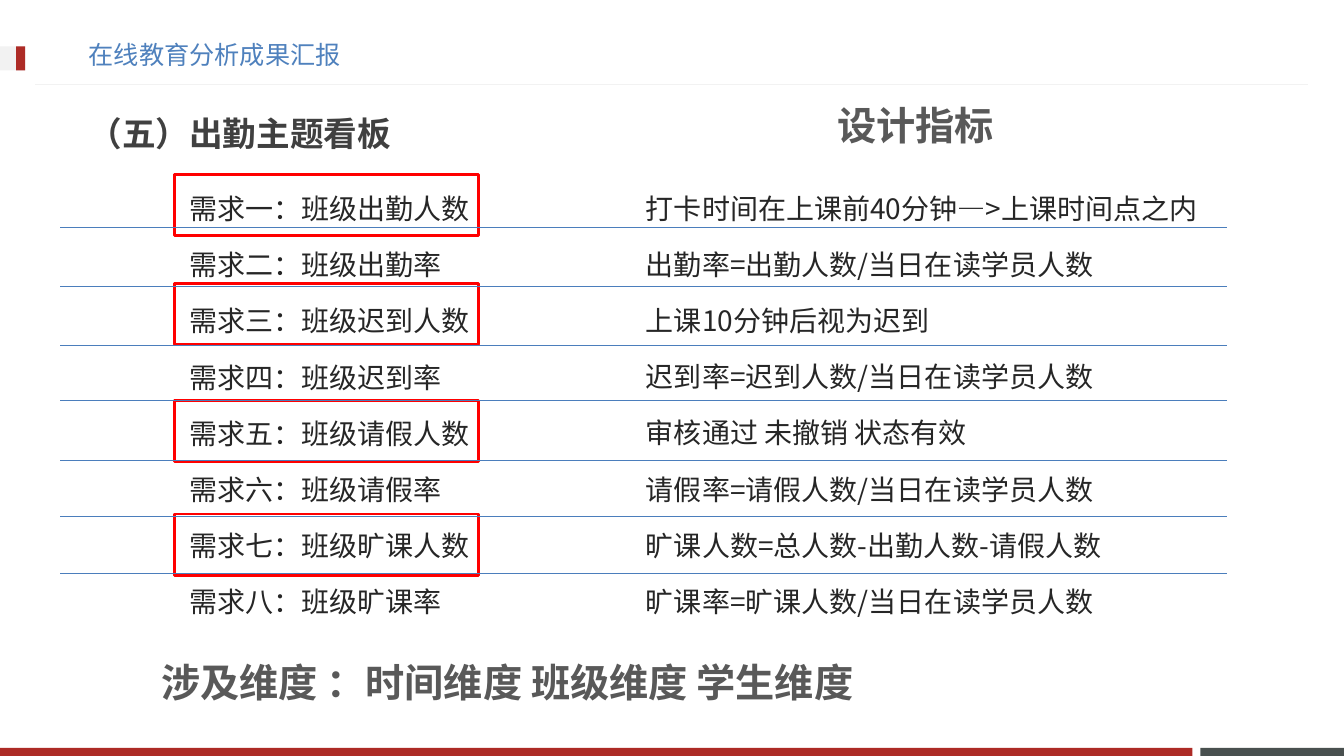
from lxml import etree
from pptx import Presentation
from pptx.dml.color import RGBColor
from pptx.enum.shapes import MSO_CONNECTOR, MSO_SHAPE
from pptx.enum.text import MSO_ANCHOR, PP_ALIGN
from pptx.oxml.ns import qn
from pptx.util import Pt

RECTANGLE = MSO_SHAPE.RECTANGLE
STRAIGHT = MSO_CONNECTOR.STRAIGHT
TOP, MIDDLE = MSO_ANCHOR.TOP, MSO_ANCHOR.MIDDLE
LEFT = PP_ALIGN.LEFT

CRIMSON = RGBColor(0xAD, 0x2B, 0x26)
SLATE = RGBColor(0x49, 0x50, 0x4F)
PALE = RGBColor(0xF2, 0xF2, 0xF2)
RED = RGBColor(0xFF, 0x00, 0x00)
TITLE_BLUE = RGBColor(0x4F, 0x81, 0xBD)
RULE_BLUE = RGBColor(0x4B, 0x7E, 0xBC)
BODY_INK = RGBColor(0x26, 0x26, 0x26)
HEADING_INK = RGBColor(0x40, 0x40, 0x40)
LABEL_INK = RGBColor(0x59, 0x59, 0x59)

BODY_FONT = "Noto Sans CJK JP"
LABEL_FONT = "Noto Sans CJK SC"
TITLE_FONT = "Roboto"

DEMANDS = [
    ("需求一：班级出勤人数", "打卡时间在上课前40分钟—>上课时间点之内"),
    ("需求二：班级出勤率", "出勤率=出勤人数/当日在读学员人数"),
    ("需求三：班级迟到人数", "上课10分钟后视为迟到"),
    ("需求四：班级迟到率", "迟到率=迟到人数/当日在读学员人数"),
    ("需求五：班级请假人数", "审核通过 未撤销 状态有效"),
    ("需求六：班级请假率", "请假率=请假人数/当日在读学员人数"),
    ("需求七：班级旷课人数", "旷课人数=总人数-出勤人数-请假人数"),
    ("需求八：班级旷课率", "旷课率=旷课人数/当日在读学员人数"),
]
HIGHLIGHT_TOPS = [124.6, 202.3, 285.8, 367.2]
RULE_TOPS = [162.7, 204.5, 247, 285.8, 329, 368.6, 409.7]


def format_text(frame, size, font, color, bold=False):
    """Give every run one look, with the font also set for Chinese."""
    for paragraph in frame.paragraphs:
        paragraph.alignment = LEFT
        for run in paragraph.runs:
            run.font.size = Pt(size)
            run.font.name = font
            run.font.bold = bold
            run.font.color.rgb = color
            east_asian = etree.Element(qn("a:ea"), typeface=font)
            run.font._element.find(qn("a:latin")).addnext(east_asian)


def set_title(slide, text):
    """Place and format the title placeholder."""
    title = slide.shapes.title
    title.left, title.top = Pt(56.2), Pt(18.7)
    title.width, title.height = Pt(690.5), Pt(41)
    title.text_frame.text = text
    title.text_frame.vertical_anchor = MIDDLE
    format_text(title.text_frame, 18, TITLE_FONT, TITLE_BLUE)


def add_text(slide, box, text, size, font, color, bold=False, anchor=TOP):
    """Add a wrapping text box and return its text frame."""
    frame = slide.shapes.add_textbox(*map(Pt, box)).text_frame
    frame.word_wrap = True
    frame.vertical_anchor = anchor
    frame.text = text
    format_text(frame, size, font, color, bold)
    return frame


def add_column(slide, box, entries, indent=0):
    """Add one text column whose rows are 40 points apart."""
    frame = add_text(slide, box, "\n".join(entries), 20, BODY_FONT, BODY_INK)
    frame.margin_left = Pt(7.2 + indent)
    for paragraph in frame.paragraphs:
        paragraph.line_spacing = Pt(38)
        paragraph.space_before = Pt(2)


def add_block(slide, box, color):
    """Add a filled rectangle without outline."""
    block = slide.shapes.add_shape(RECTANGLE, *map(Pt, box))
    block.shadow.inherit = False
    block.fill.solid()
    block.fill.fore_color.rgb = color
    block.line.fill.background()


def add_highlight(slide, top):
    """Frame a demand with a red outline."""
    highlight = slide.shapes.add_shape(
        RECTANGLE, Pt(124.6), Pt(top), Pt(217.4), Pt(43.9))
    highlight.shadow.inherit = False
    highlight.fill.background()
    highlight.line.color.rgb = RED
    highlight.line.width = Pt(2)


def add_rule(slide, start, end, top, color):
    """Add a thin horizontal line."""
    rule = slide.shapes.add_connector(
        STRAIGHT, Pt(start), Pt(top), Pt(end), Pt(top))
    rule.line.color.rgb = color
    rule.line.width = Pt(0.75)
    etree.SubElement(rule._element.spPr, qn("a:effectLst"))


def main():
    """Build the attendance dashboard slide."""
    deck = Presentation()
    deck.slide_width, deck.slide_height = Pt(960), Pt(540)
    slide = deck.slides.add_slide(deck.slide_layouts[5])

    add_block(slide, (857.5, 534.2, 102.5, 5.8), SLATE)
    add_block(slide, (0, 534.2, 851.8, 5.8), CRIMSON)
    add_rule(slide, 25.2, 934.6, 60.5, PALE)
    add_block(slide, (0, 33.1, 18, 17.3), PALE)
    add_block(slide, (11.5, 33.1, 6.5, 17.3), CRIMSON)

    set_title(slide, "在线教育分析成果汇报")
    add_text(slide, (56.2, 74.2, 843.8, 41), "（五）出勤主题看板",
             24, BODY_FONT, HEADING_INK, bold=True, anchor=MIDDLE)

    names, measures = zip(*DEMANDS)
    add_column(slide, (56.2, 119.5, 330.5, 342), names, indent=72)
    for top in HIGHLIGHT_TOPS:
        add_highlight(slide, top)
    add_column(slide, (454.3, 119.5, 445.7, 332), measures)
    for top in RULE_TOPS:
        add_rule(slide, 43.2, 876.2, top, RULE_BLUE)

    add_text(slide, (591.1, 69.1, 132.5, 41), "设计指标",
             28, LABEL_FONT, LABEL_INK, bold=True)
    add_text(slide, (108, 466.6, 777.6, 41),
             "涉及维度 ：时间维度 班级维度 学生维度",
             28, LABEL_FONT, LABEL_INK, bold=True)

    deck.save("out.pptx")


main()
